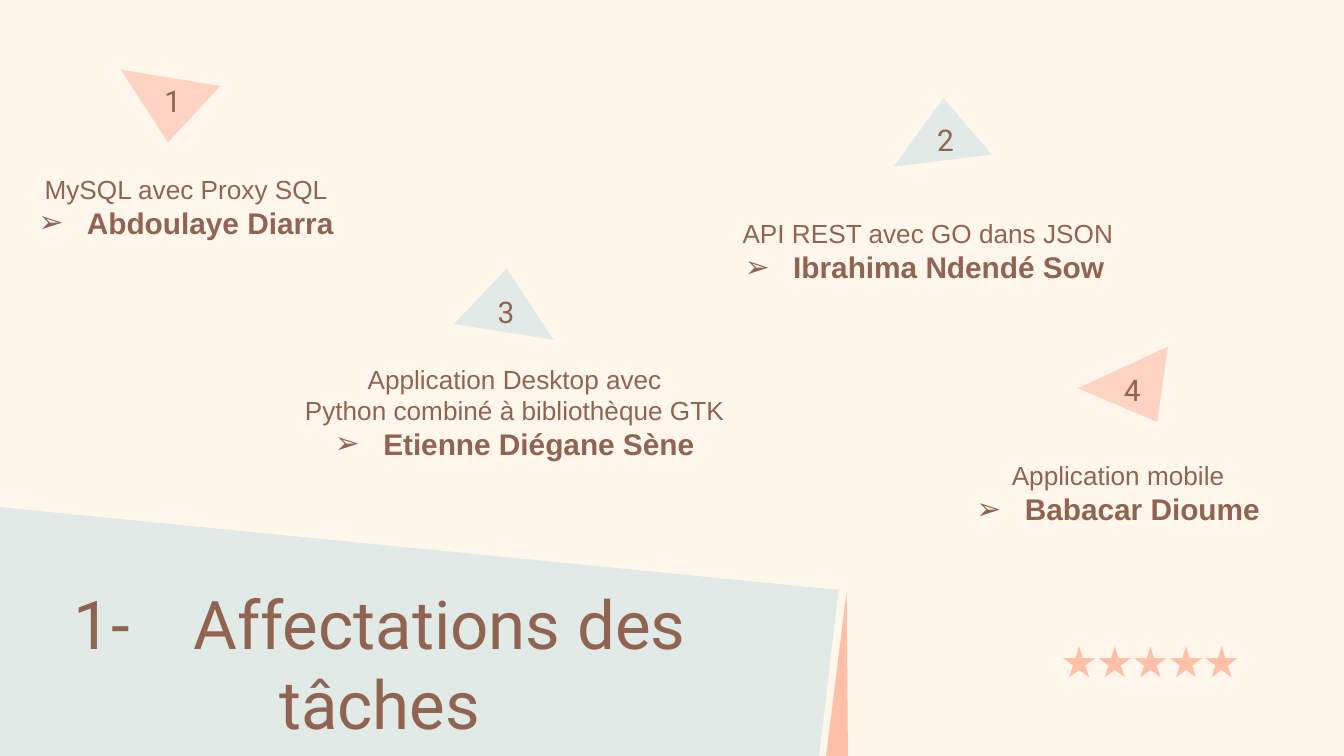
from pptx import Presentation
from pptx.dml.color import RGBColor
from pptx.enum.shapes import MSO_SHAPE
from pptx.enum.text import MSO_ANCHOR, PP_ALIGN
from pptx.oxml.ns import qn
from pptx.util import Inches, Pt
from lxml.etree import SubElement

CREAM = RGBColor(0xFF, 0xF6, 0xEC)
MIST = RGBColor(0xE1, 0xEA, 0xE7)
CORAL = RGBColor(0xFF, 0xC0, 0xA7)
BLUSH = RGBColor(0xFE, 0xD3, 0xC2)
BROWN = RGBColor(0x91, 0x64, 0x52)

WIDTH = Inches(10)
HEIGHT = WIDTH * 9 // 16
COLUMN = WIDTH // 100
STAR_COUNT = 5
STAR_PITCH = 2.65

TASKS = [
    ("3", [(33.8, 24.1), (37.7, 20), (41.2, 25.3)], MIST, (33.3, 21.6),
     ["Application Desktop avec", "Python combiné à bibliothèque GTK"],
     "Etienne Diégane Sène", (19.6, 26, 36, 9.1), 5),
    ("2", [(73.8, 11.5), (70.2, 7.3), (66.5, 12.4)], MIST, (66, 8.8),
     ["API REST avec GO dans JSON"],
     "Ibrahima Ndendé Sow", (52.5, 15.2, 31.7, 6.9), 4.5),
    ("1", [(16.4, 6.4), (12.5, 10.6), (9, 5.2)], BLUSH, (8.5, 5.9),
     ["MySQL avec Proxy SQL"],
     "Abdoulaye Diarra", (-2, 11.9, 30.3, 6.9), 5),
    ("4", [(86.9, 25.8), (86.1, 31.4), (80.2, 28.9)], BLUSH, (79.9, 27.4),
     ["Application mobile"],
     "Babacar Dioume", (70, 33.2, 25, 9.1), 5),
]


def grid(columns):
    return round(columns * COLUMN)


def paint(shape, color):
    shape.shadow.inherit = False
    shape.fill.solid()
    shape.fill.fore_color.rgb = color
    shape.line.fill.background()


def add_polygon(slide, points, color):
    corners = [(grid(x), grid(y)) for x, y in points]
    builder = slide.shapes.build_freeform(*corners[0])
    builder.add_line_segments(corners[1:], close=True)
    paint(builder.convert_to_shape(), color)


def add_stars(slide):
    for index in range(STAR_COUNT):
        star = slide.shapes.add_shape(
            MSO_SHAPE.STAR_5_POINT, grid(79.1 + index * STAR_PITCH),
            grid(48.1), grid(2.4), grid(2.3))
        paint(star, CORAL)


def add_text_frame(slide, box, anchor=MSO_ANCHOR.TOP):
    frame = slide.shapes.add_textbox(*map(grid, box)).text_frame
    frame.word_wrap = True
    frame.vertical_anchor = anchor
    frame.margin_left = frame.margin_right = grid(1)
    frame.margin_top = frame.margin_bottom = grid(1)
    return frame


def style(paragraph, font_name, size, bold=False):
    paragraph.alignment = PP_ALIGN.CENTER
    paragraph.font.name = font_name
    paragraph.font.size = Pt(size)
    paragraph.font.bold = bold
    paragraph.font.color.rgb = BROWN


def set_indent(paragraph, margin):
    properties = paragraph._p.get_or_add_pPr()
    properties.set("marL", str(grid(margin)))
    properties.set("indent", str(grid(-3.6)))
    return properties


def add_bullet(properties):
    color = SubElement(properties, qn("a:buClr"))
    SubElement(color, qn("a:srgbClr"), val=str(BROWN))
    SubElement(properties, qn("a:buFont"), typeface="Arial")
    SubElement(properties, qn("a:buChar"), char="➢")


def add_assignment(slide, lines, person, box, person_margin):
    frame = add_text_frame(slide, box)
    for index, line in enumerate(lines):
        paragraph = frame.add_paragraph() if index else frame.paragraphs[0]
        paragraph.text = line
        set_indent(paragraph, 5)
        style(paragraph, "Arial", 14)
    paragraph = frame.add_paragraph()
    paragraph.text = person
    add_bullet(set_indent(paragraph, person_margin))
    style(paragraph, "Arial", 16, bold=True)


def add_number(slide, number, position):
    frame = add_text_frame(slide, (*position, 8.7, 3.1), MSO_ANCHOR.MIDDLE)
    paragraph = frame.paragraphs[0]
    paragraph.text = number
    style(paragraph, "Roboto", 16)


def add_title(slide):
    paragraph = add_text_frame(slide, (-1.1, 42.3, 58.7, 14.9)).paragraphs[0]
    paragraph.text = "1-\tAffectations des tâches"
    tabs = SubElement(paragraph._p.get_or_add_pPr(), qn("a:tabLst"))
    SubElement(tabs, qn("a:tab"), pos=str(grid(8.9)), algn="l")
    style(paragraph, "Roboto", 36)


def main():
    presentation = Presentation()
    presentation.slide_width = WIDTH
    presentation.slide_height = HEIGHT
    slide = presentation.slides.add_slide(presentation.slide_layouts[6])
    slide.background.fill.solid()
    slide.background.fill.fore_color.rgb = CREAM

    add_polygon(slide, [(60.8, 57.5), (-3, 57.3), (-3.4, 37.4), (62.4, 43.9)], MIST)
    add_polygon(slide, [(63, 44), (63.1, 57.4), (61.3, 57.6)], CORAL)
    add_stars(slide)
    add_title(slide)
    for number, triangle, color, position, lines, person, box, margin in TASKS:
        add_polygon(slide, triangle, color)
        add_assignment(slide, lines, person, box, margin)
        add_number(slide, number, position)

    presentation.save("out.pptx")


if __name__ == "__main__":
    main()
